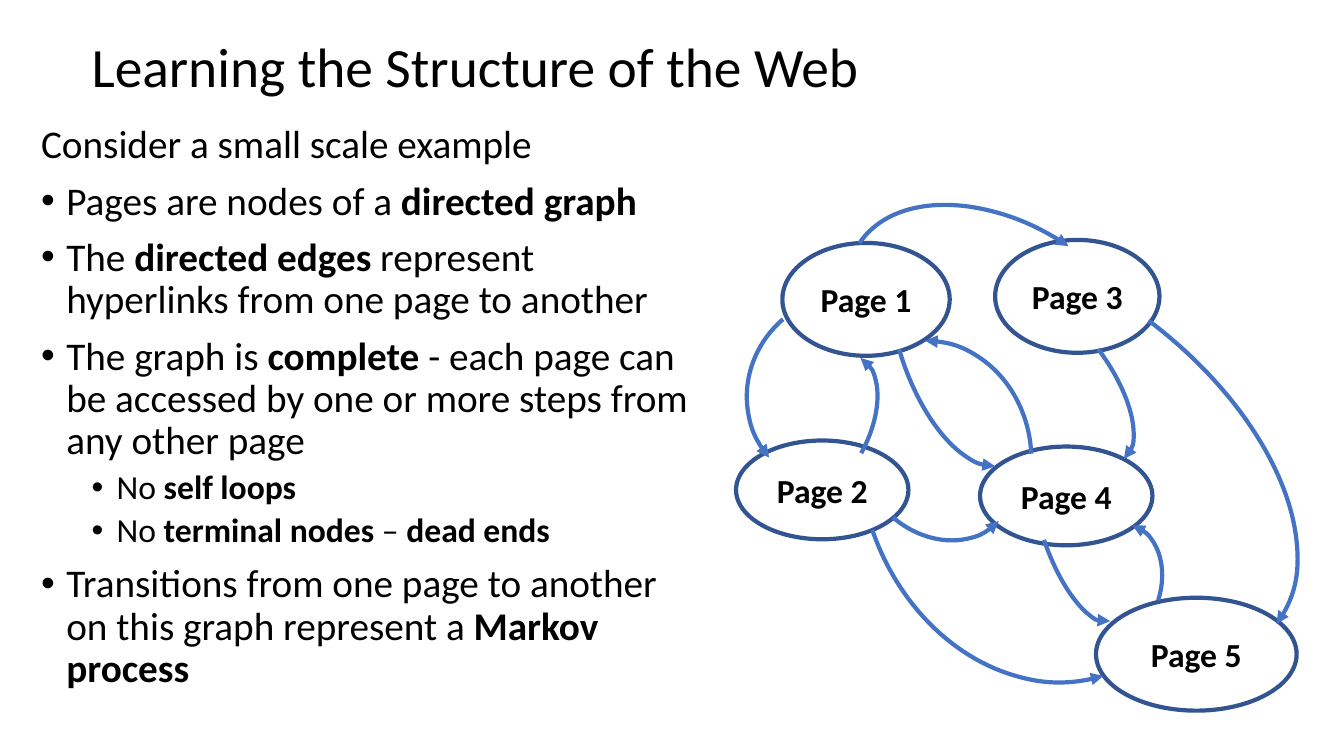
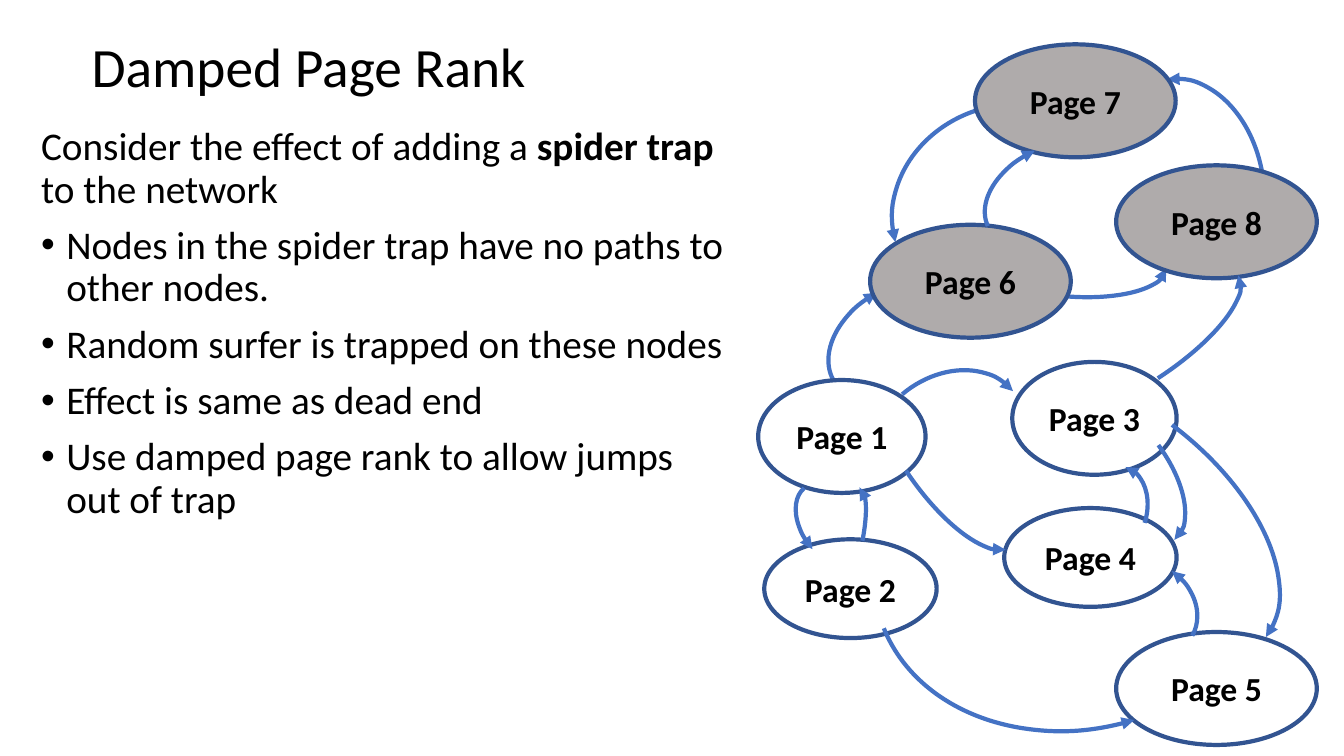
from lxml import etree
from pptx import Presentation
from pptx.dml.color import RGBColor
from pptx.enum.shapes import MSO_SHAPE as SHAPE
from pptx.enum.text import MSO_ANCHOR as ANCHOR, PP_ALIGN as ALIGN
from pptx.oxml.ns import qn
from pptx.util import Pt

PX = 9144  # 100 px to the inch
FONT = "Calibri"
BLACK = RGBColor(0x00, 0x00, 0x00)
NODE_LINE = RGBColor(0x32, 0x54, 0x91)
ARROW_BLUE = RGBColor(0x44, 0x72, 0xC4)
TRAP_GREY = RGBColor(0xAF, 0xAB, 0xAB)

TITLE_BOX = (81, 34, 1150, 69)
NODE_SIZES = {1: (166, 112), 2: (171, 98), 3: (163, 112), 4: (171, 98)}
LARGE_NODE = (199, 112)
TRAP_PAGES = (6, 7, 8)

# Paragraph kind: left margin px, space before pt, size pt
PARAGRAPHS = {"lead": (0, 10, 28), "bullet": (25, 10, 28), "sub": (75, 5, 24)}
HANGING = 25

# Start angle of an arc, in the units of its first adjustment
TOP, PAST_TOP = 162, 164.08

# Nodes: page number -> left, top
# Arcs: left, top, width, height, rotation, flips, start angle, arrowhead end
SLIDES = [
    {
        "title": "Learning the Structure of the Web",
        "body_box": (31, 119, 674, 602),
        "body": [
            ("lead", "Consider a small scale example"),
            ("bullet", "Pages are nodes of a **directed graph**"),
            ("bullet", "The **directed edges **represent hyperlinks from one page to another"),
            ("bullet", "The graph is **complete** - each page can be accessed by one or "
                       "more steps from any other page"),
            ("sub", "No **self loops**"),
            ("sub", "No **terminal nodes **– **dead ends**"),
            ("bullet", "Transitions from one page to another on this graph represent a "
                       "**Markov process**"),
        ],
        "arcs_below": [],
        "nodes": {1: (776, 241), 2: (730, 437), 3: (987, 238), 4: (972, 443), 5: (1087, 593)},
        "arcs_above": [
            (739, 294, 199, 191, 319.6, "H", TOP, "tail"),
            (727, 381, 169, 95, 119.8, "H", PAST_TOP, "tail"),
            (884, 164, 226, 348, 303.8, "", TOP, "tail"),
            (1041, 534, 126, 94, 107.8, "H", TOP, "tail"),
            (972, 488, 195, 72, 251.1, "H", TOP, "tail"),
            (799, 351, 237, 211, 90, "H", PAST_TOP, "tail"),
            (818, 286, 430, 357, 253.4, "H", PAST_TOP, "tail"),
            (758, 285, 565, 328, 37, "", TOP, "tail"),
            (889, 188, 134, 279, 343.6, "HV", PAST_TOP, "head"),
            (946, 326, 210, 92, 232.6, "HV", PAST_TOP, "tail"),
            (846, 391, 167, 138, 223, "H", PAST_TOP, "tail"),
        ],
    },
    {
        "title": "Damped Page Rank",
        "body_box": (31, 121, 706, 625),
        "body": [
            ("lead", "Consider the effect of adding a **spider trap **to the network"),
            ("bullet", "Nodes in the spider trap have no paths to other nodes."),
            ("bullet", "Random surfer is trapped on these nodes"),
            ("bullet", "Effect is same as dead end"),
            ("bullet", "Use damped page rank to allow jumps out of trap"),
        ],
        "arcs_below": [
            (841, 259, 110, 159, 241, "", TOP, "tail"),
            (962, 222, 195, 72, 184.9, "H", TOP, "tail"),
            (884, 104, 237, 211, 345, "H", PAST_TOP, "tail"),
            (1063, 107, 220, 161, 81.9, "H", PAST_TOP, "tail"),
        ],
        "nodes": {1: (752, 377), 2: (758, 535), 3: (1004, 359), 4: (996, 504),
                  5: (1107, 627), 6: (863, 223), 7: (967, 44), 8: (1107, 164)},
        "arcs_above": [
            (798, 472, 66, 103, 319.6, "H", TOP, "tail"),
            (790, 521, 104, 27, 101.6, "H", PAST_TOP, "tail"),
            (1055, 473, 94, 70, 107.8, "H", TOP, "tail"),
            (905, 338, 342, 425, 253.4, "H", PAST_TOP, "tail"),
            (894, 399, 402, 224, 37, "", TOP, "tail"),
            (891, 320, 92, 243, 326.3, "HV", PAST_TOP, "head"),
            (1025, 422, 174, 89, 232.6, "HV", PAST_TOP, "tail"),
            (1093, 549, 88, 107, 125.2, "H", PAST_TOP, "tail"),
            (998, 120, 97, 147, 245.3, "", TOP, "tail"),
            (1003, 298, 245, 84, 147, "H", TOP, "tail"),
            (853, 375, 172, 137, 319.8, "", TOP, "tail"),
        ],
    },
]


def add_runs(p, text, size, bold=False):
    """Add text as runs; each ** switches bold on or off."""
    for i, part in enumerate(text.split("**")):
        if part:
            r = p.add_run()
            r.text = part
            r.font.name = FONT
            r.font.size = Pt(size)
            r.font.bold = bold or i % 2 == 1
            r.font.color.rgb = BLACK


def add_outline(s, shape, box, color):
    """Add an unfilled shape with a 3 pt line."""
    sp = s.shapes.add_shape(shape, *(v * PX for v in box))
    sp.shadow.inherit = False
    sp.fill.background()
    sp.line.color.rgb = color
    sp.line.width = Pt(3)
    return sp


prs = Presentation()
prs.slide_width, prs.slide_height = 1333 * PX, 750 * PX

for data in SLIDES:
    s = prs.slides.add_slide(prs.slide_layouts[6])

    tf = s.shapes.add_textbox(*(v * PX for v in TITLE_BOX)).text_frame
    tf.word_wrap = True
    tf.vertical_anchor = ANCHOR.MIDDLE
    tf.paragraphs[0].line_spacing = 0.9
    add_runs(tf.paragraphs[0], data["title"], 39.6)

    tf = s.shapes.add_textbox(*(v * PX for v in data["body_box"])).text_frame
    tf.word_wrap = True
    for i, (kind, text) in enumerate(data["body"]):
        margin, before, size = PARAGRAPHS[kind]
        p = tf.add_paragraph() if i else tf.paragraphs[0]
        p.line_spacing = 0.9
        p.space_before = Pt(before)
        add_runs(p, text, size)
        if margin:
            pPr = p._p.get_or_add_pPr()
            pPr.set("marL", str(margin * PX))
            pPr.set("indent", str(-HANGING * PX))
            etree.SubElement(pPr, qn("a:buFont")).set("typeface", "Arial")
            etree.SubElement(pPr, qn("a:buChar")).set("char", "•")

    for layer in ("arcs_below", "nodes", "arcs_above"):
        if layer == "nodes":
            for page, corner in data["nodes"].items():
                box = corner + NODE_SIZES.get(page, LARGE_NODE)
                sp = add_outline(s, SHAPE.OVAL, box, NODE_LINE)
                if page in TRAP_PAGES:
                    sp.fill.solid()
                    sp.fill.fore_color.rgb = TRAP_GREY
                tf = sp.text_frame
                tf.vertical_anchor = ANCHOR.MIDDLE
                tf.paragraphs[0].alignment = ALIGN.CENTER
                add_runs(tf.paragraphs[0], f"Page {page}", 24, bold=True)
            continue
        for *box, rotation, flips, start, end in data[layer]:
            sp = add_outline(s, SHAPE.ARC, box, ARROW_BLUE)
            sp.rotation = rotation
            sp.adjustments[0] = start
            for axis in flips:
                sp._element.spPr.find(qn("a:xfrm")).set(f"flip{axis}", "1")
            ln = sp.line._get_or_add_ln()
            etree.SubElement(ln, qn(f"a:{end}End")).set("type", "triangle")

prs.save("out.pptx")
